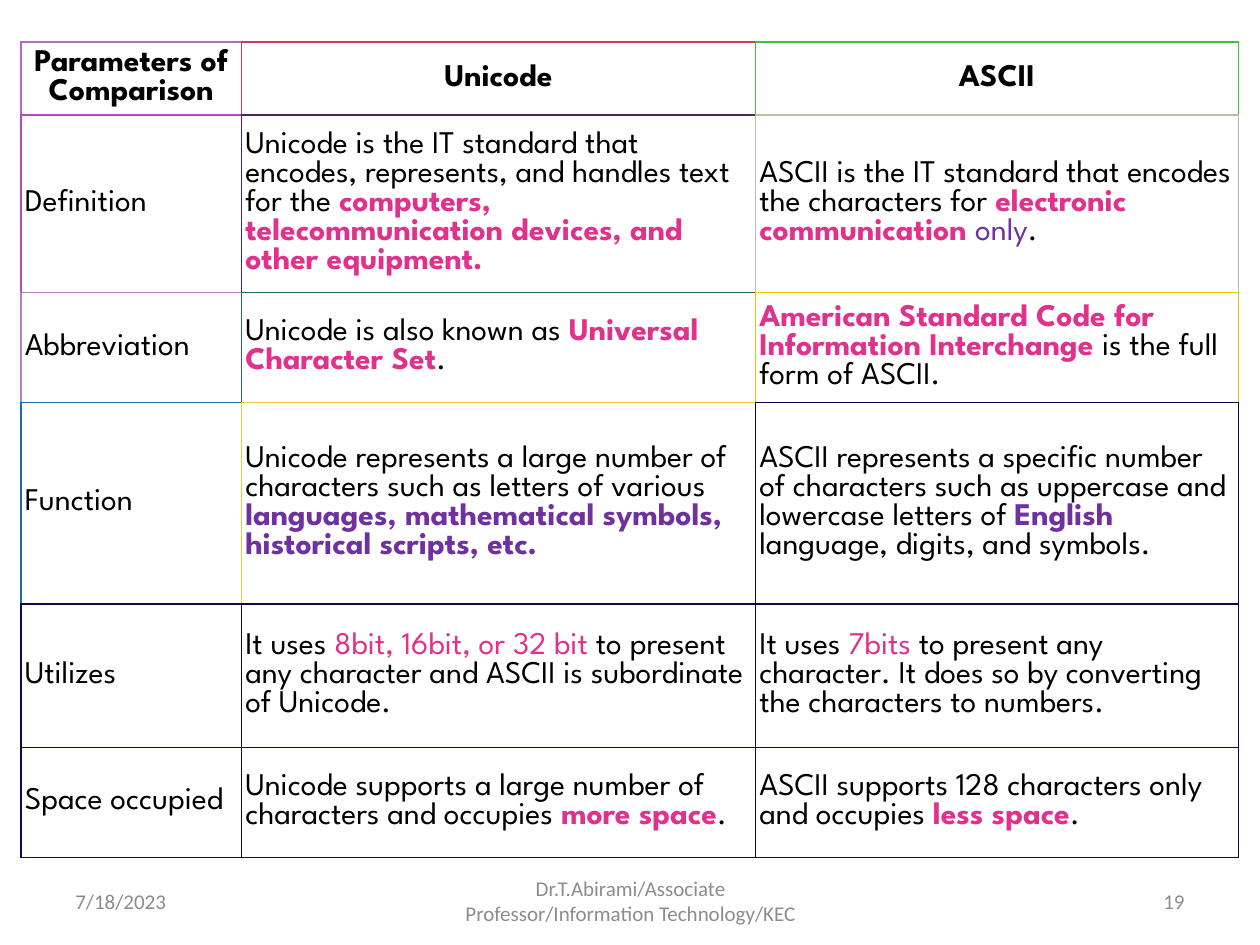
from dataclasses import dataclass

import pptx
import pptx.dml.color
import pptx.enum.text
import pptx.oxml
import pptx.oxml.ns
import pptx.util
from pptx.util import Inches

ALIGN = pptx.enum.text.PP_ALIGN
MIDDLE = pptx.enum.text.MSO_ANCHOR.MIDDLE


@dataclass(frozen=True)
class Theme:
    table_font: str = "League Spartan"
    footer_font: str = "Calibri"
    table_size: int = 18
    table_leading: float = 16.56
    footer_size: int = 12
    text: str = "000000"
    pink: str = "E0328D"
    purple: str = "7030A0"
    footer: str = "8C8C8C"
    cell: str = "FFFFFF"
    navy: str = "180444"
    line: float = 1
    outer_line: float = 0.6


theme = Theme()

# Run styles: colour, bold
PLAIN = (theme.text, False)
HEADING = (theme.text, True)
PINK = (theme.pink, False)
PINK_BOLD = (theme.pink, True)
PURPLE = (theme.purple, False)
PURPLE_BOLD = (theme.purple, True)


def add_run(paragraph, text, font_name, size, color, bold=False):
    run = paragraph.add_run()
    run.text = text
    run.font.name = font_name
    run.font.size = pptx.util.Pt(size)
    run.font.bold = bold
    run.font.color.rgb = pptx.dml.color.RGBColor.from_string(color)


def set_borders(cell, borders):
    """Add (side, colour, points) lines; the schema wants L, R, T, B before the fill."""
    properties = cell._tc.get_or_add_tcPr()
    for position, (side, color, points) in enumerate(borders):
        line = pptx.oxml.parse_xml(
            f'<a:ln{side} {pptx.oxml.ns.nsdecls("a")} w="{pptx.util.Pt(points)}">'
            f'<a:solidFill><a:srgbClr val="{color}"/></a:solidFill>'
            f'<a:prstDash val="solid"/></a:ln{side}>'
        )
        properties.insert(position, line)


rows = [
    [
        [("Parameters of Comparison", HEADING)],
        [("Unicode", HEADING)],
        [("ASCII", HEADING)],
    ],
    [
        [("Definition", PLAIN)],
        [("Unicode is the IT standard that encodes, represents, and handles text for the ", PLAIN),
         ("computers, telecommunication devices, and other equipment.", PINK_BOLD)],
        [("ASCII is the IT standard that encodes the characters for ", PLAIN),
         ("electronic communication ", PINK_BOLD), ("only", PURPLE), (".", PLAIN)],
    ],
    [
        [("Abbreviation", PLAIN)],
        [("Unicode is also known as ", PLAIN), ("Universal Character Set", PINK_BOLD), (".", PLAIN)],
        [("American Standard Code for Information Interchange ", PINK_BOLD),
         ("is the full form of ASCII.", PLAIN)],
    ],
    [
        [("Function", PLAIN)],
        [("Unicode represents a large number of characters such as letters of various ", PLAIN),
         ("languages, mathematical symbols, historical scripts, etc.", PURPLE_BOLD)],
        [("ASCII represents a specific number of characters such as uppercase and lowercase letters of ", PLAIN),
         ("English ", PURPLE_BOLD), ("language, digits, and symbols.", PLAIN)],
    ],
    [
        [("Utilizes", PLAIN)],
        [("It uses ", PLAIN), ("8bit, 16bit, or 32 bit ", PINK),
         ("to present any character and ASCII is subordinate of Unicode.", PLAIN)],
        [("It uses ", PLAIN), ("7bits", PINK),
         (" to present any character. It does so by converting the characters to numbers.", PLAIN)],
    ],
    [
        [("Space occupied", PLAIN)],
        [("Unicode supports a large number of characters and occupies ", PLAIN),
         ("more space", PINK_BOLD), (".", PLAIN)],
        [("ASCII supports 128 characters only and occupies ", PLAIN),
         ("less space", PINK_BOLD), (".", PLAIN)],
    ],
]

# Each cell's colour draws its left and top lines; its neighbours draw the other two.
line_colors = [
    ["B869BE", "C83E5B", "38C837"],
    ["B848BE", "48255B", "B8BDA9"],
    ["B87EBE", "286C5B", "E8C30B"],
    ["2069B6", "E8CF37", theme.navy],
    [theme.navy] * 3,
    [theme.navy] * 3,
]
column_widths = [1.75, 4.08, 3.83]
row_heights = [0.58, 1.41, 0.87, 1.6, 1.14, 0.87]

presentation = pptx.Presentation()
presentation.slide_width = Inches(10)
presentation.slide_height = Inches(7.5)
slide = presentation.slides.add_slide(presentation.slide_layouts[6])

# Footer line
footers = [
    (0.5, 2.33, ALIGN.LEFT, "7/18/2023"),
    (3.42, 3.17, ALIGN.CENTER, "Dr.T.Abirami/Associate Professor/Information Technology/KEC"),
    (7.17, 2.33, ALIGN.RIGHT, "19"),
]
for left, width, alignment, text in footers:
    box = slide.shapes.add_textbox(Inches(left), Inches(6.95), Inches(width), Inches(0.4))
    box.text_frame.word_wrap = True
    box.text_frame.vertical_anchor = MIDDLE
    paragraph = box.text_frame.paragraphs[0]
    paragraph.alignment = alignment
    add_run(paragraph, text, theme.footer_font, theme.footer_size, theme.footer)

# Comparison table
table = slide.shapes.add_table(
    len(row_heights), len(column_widths), Inches(1 / 6), Inches(1 / 3),
    Inches(sum(column_widths)), Inches(sum(row_heights)),
).table
table.first_row = False
table.horz_banding = False
for column, width in zip(table.columns, column_widths):
    column.width = Inches(width)
for row, height in zip(table.rows, row_heights):
    row.height = Inches(height)

last_row, last_column = len(row_heights) - 1, len(column_widths) - 1
for r, row_content in enumerate(rows):
    for c, runs in enumerate(row_content):
        cell = table.cell(r, c)
        cell.vertical_anchor = MIDDLE
        cell.margin_left = cell.margin_right = Inches(0.03)
        cell.margin_top = cell.margin_bottom = Inches(0.03)
        cell.fill.solid()
        cell.fill.fore_color.rgb = pptx.dml.color.RGBColor.from_string(theme.cell)

        own = line_colors[r][c]
        set_borders(cell, [
            ("L", own, theme.line),
            ("R", line_colors[r][min(c + 1, last_column)],
             theme.outer_line if c == last_column else theme.line),
            ("T", own, theme.line),
            ("B", line_colors[min(r + 1, last_row)][c],
             theme.outer_line if r == last_row else theme.line),
        ])

        paragraph = cell.text_frame.paragraphs[0]
        paragraph.alignment = ALIGN.CENTER if r == 0 else ALIGN.LEFT
        paragraph.line_spacing = pptx.util.Pt(theme.table_leading)
        for text, (color, bold) in runs:
            add_run(paragraph, text, theme.table_font, theme.table_size, color, bold)

presentation.save("out.pptx")
